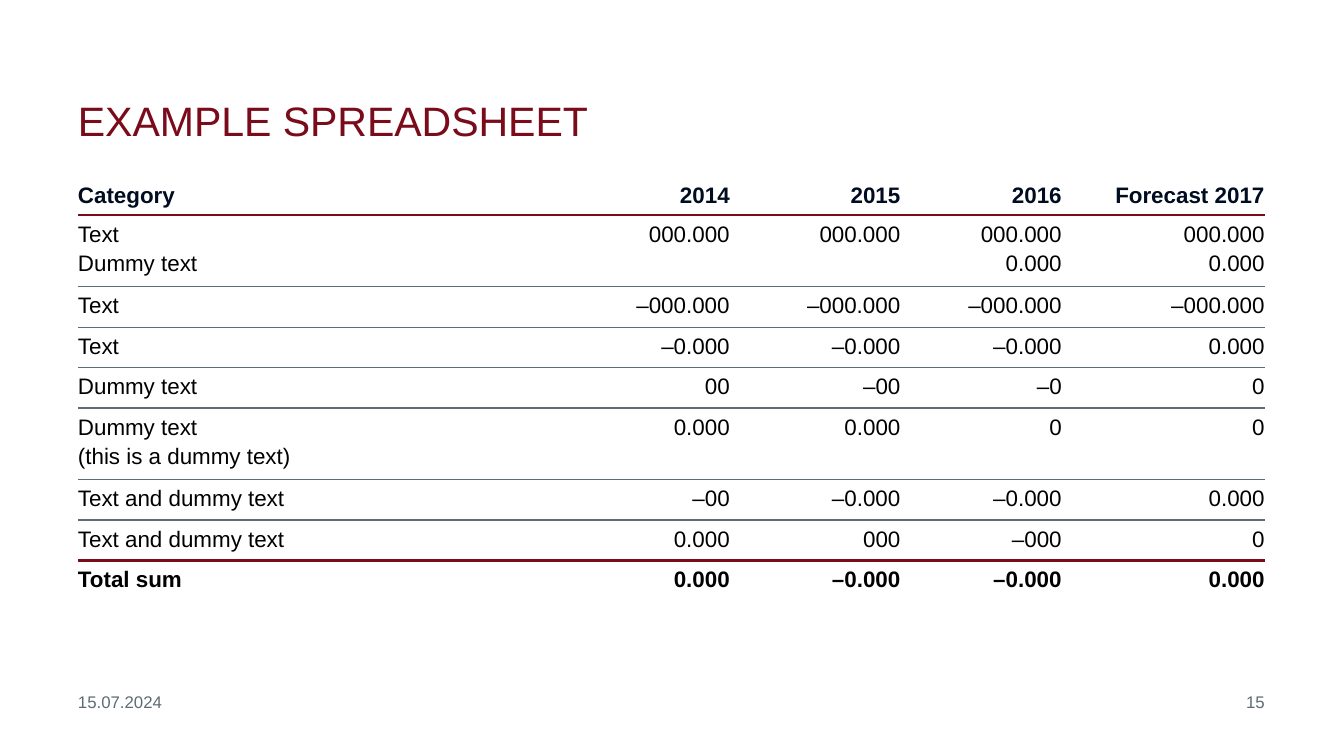
"""Build a slide with a multi-year figures table, a title and a footer."""
from lxml import etree
from pptx import Presentation, util as u
from pptx.dml.color import RGBColor
from pptx.enum import text
from pptx.oxml import ns

THEME = {
    "font": "Arial", "accent": "790B1A", "muted": "5D6C74", "heading": "000C20", "body": "000000",
    "title_size": 22, "table_size": 12, "footer_size": 9, "thick": 1.5, "thin": 0.75,
}
NO_STYLE = "{2D5ABB26-0587-4C30-8999-92F81FD0307C}"
WIDTH = 10
HEIGHT = WIDTH * 9 / 16
LEFT, RIGHT = 0.58, 9.41
TABLE_TOP = 1.3
COLUMNS = [3.95, 1, 1.27, 1.2, 1.41]
LINE_ROW, EXTRA_LINE = 0.25, 0.19

TITLE = "EXAMPLE SPREADSHEET"
DATE, PAGE = "15.07.2024", "15"
FIGURES = [
    ("Category", "2014", "2015", "2016", "Forecast 2017"),
    ("Text\nDummy text", "000.000", "000.000", "000.000\n0.000", "000.000\n0.000"),
    ("Text", "–000.000", "–000.000", "–000.000", "–000.000"),
    ("Text", "–0.000", "–0.000", "–0.000", "0.000"),
    ("Dummy text", "00", "–00", "–0", "0"),
    ("Dummy text\n(this is a dummy text)", "0.000", "0.000", "0", "0"),
    ("Text and dummy text", "–00", "–0.000", "–0.000", "0.000"),
    ("Text and dummy text", "0.000", "000", "–000", "0"),
    ("Total sum", "0.000", "–0.000", "–0.000", "0.000"),
]
LAST_ROW, LAST_COLUMN = len(FIGURES) - 1, len(COLUMNS) - 1


def write(frame, content, size, color, bold=False, right=False):
    for index, line in enumerate(content.split("\n")):
        paragraph = frame.add_paragraph() if index else frame.paragraphs[0]
        paragraph.alignment = text.PP_ALIGN.RIGHT if right else text.PP_ALIGN.LEFT
        if index:
            paragraph.space_before = u.Pt(0.2 * size)
        run = paragraph.add_run()
        run.text = line
        run.font.name, run.font.size, run.font.bold = THEME["font"], u.Pt(size), bold
        run.font.color.rgb = RGBColor.from_string(THEME[color])


def add_label(slide, content, left, top, width, height, size, color, right=False, bottom=False):
    frame = slide.shapes.add_textbox(*map(u.Inches, (left, top, width, height))).text_frame
    frame.word_wrap = True
    frame.margin_left = frame.margin_right = frame.margin_top = frame.margin_bottom = 0
    frame.vertical_anchor = text.MSO_ANCHOR.BOTTOM if bottom else text.MSO_ANCHOR.TOP
    write(frame, content, size, color, right=right)


def rule_cell(cell, side, rule):
    color, weight = ("accent", "thick") if rule in (1, LAST_ROW) else ("muted", "thin")
    line = etree.SubElement(cell._tc.get_or_add_tcPr(), ns.qn("a:" + side), w=str(u.Pt(THEME[weight])))
    fill = etree.SubElement(line, ns.qn("a:solidFill"))
    etree.SubElement(fill, ns.qn("a:srgbClr"), val=THEME[color])


def fill_cell(cell, content, row, column):
    cell.margin_left = cell.margin_right = u.Inches(0.1 if 0 < column < LAST_COLUMN else 0)
    cell.margin_top = cell.margin_bottom = u.Inches(0.05)
    cell.vertical_anchor = text.MSO_ANCHOR.TOP if row else text.MSO_ANCHOR.BOTTOM
    if row > 0:
        rule_cell(cell, "lnT", row)
    if row < LAST_ROW:
        rule_cell(cell, "lnB", row + 1)
    cell.fill.background()
    write(cell.text_frame, content, THEME["table_size"], "body" if row else "heading",
          bold=row in (0, LAST_ROW), right=column > 0)


def add_figures(slide):
    heights = [LINE_ROW + EXTRA_LINE * max(entry.count("\n") for entry in entries) for entries in FIGURES]
    area = map(u.Inches, (LEFT, TABLE_TOP, RIGHT - LEFT, sum(heights)))
    figures = slide.shapes.add_table(len(FIGURES), len(COLUMNS), *area).table
    figures.first_row = figures.horz_banding = False
    figures._tbl.tblPr.find(ns.qn("a:tableStyleId")).text = NO_STYLE
    for column, width in zip(figures.columns, COLUMNS):
        column.width = u.Inches(width)
    for row, entries in enumerate(FIGURES):
        figures.rows[row].height = u.Inches(heights[row])
        for column, entry in enumerate(entries):
            fill_cell(figures.cell(row, column), entry, row, column)


def main():
    deck = Presentation()
    deck.slide_width, deck.slide_height = u.Inches(WIDTH), u.Inches(HEIGHT)
    slide = deck.slides.add_slide(deck.slide_layouts[6])
    add_label(slide, TITLE, LEFT, 0.29, 6.86, 0.79, THEME["title_size"], "accent", bottom=True)
    add_figures(slide)
    add_label(slide, PAGE, RIGHT - 1.99, 5.15, 1.99, 0.19, THEME["footer_size"], "muted", right=True)
    add_label(slide, DATE, LEFT, 5.15, 2.08, 0.19, THEME["footer_size"], "muted")
    deck.save("out.pptx")


if __name__ == "__main__":
    main()
